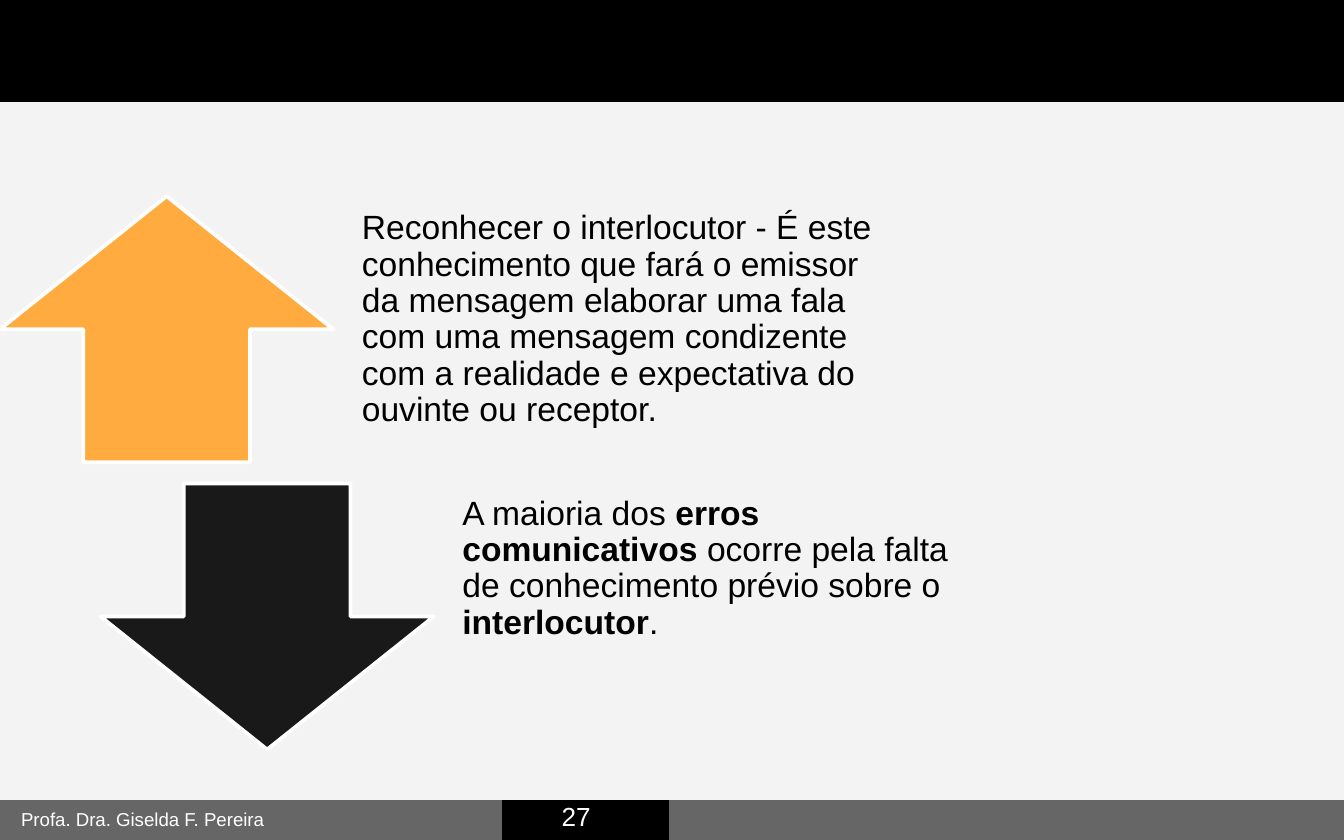
import pptx
import pptx.util
import pptx.dml.color
import pptx.enum.shapes
import pptx.enum.text

Cm, Pt = pptx.util.Cm, pptx.util.Pt
KIND = pptx.enum.shapes.MSO_SHAPE
ALIGN = pptx.enum.text.PP_ALIGN
ANCHOR = pptx.enum.text.MSO_ANCHOR

HUES = {
    "back": "F3F3F3", "black": "000000", "gray": "666666",
    "gold": "FFAB40", "dark": "191919", "white": "FFFFFF",
}


def hue(name):
    return pptx.dml.color.RGBColor.from_string(HUES[name])


def apply(item, values):
    for key, value in values.items():
        setattr(item, key, value)


class Deck:
    face = "Arial"

    def __init__(self, wide, high):
        self.file = pptx.Presentation()
        apply(self.file, {"slide_width": Cm(wide), "slide_height": Cm(high)})
        self.page = self.file.slides.add_slide(self.file.slide_layouts[6])
        fill = self.page.background.fill
        fill.solid()
        fill.fore_color.rgb = hue("back")

    def shape(self, kind, box, fill, line=None, width=0.75):
        form = self.page.shapes.add_shape(kind, *map(Cm, box))
        form.shadow.inherit = False
        form.fill.solid()
        form.fill.fore_color.rgb = hue(fill)
        if line:
            form.line.color.rgb = hue(line)
            form.line.width = Pt(width)
        else:
            form.line.fill.background()

    def text(self, box, runs, size, color, pads=(0.25,) * 4,
             anchor=ANCHOR.MIDDLE, para=None):
        """Runs are (words, bold) pairs; pads go left, top, right, bottom."""
        frame = self.page.shapes.add_textbox(*map(Cm, box)).text_frame
        left, top, right, low = map(Cm, pads)
        apply(frame, {
            "word_wrap": True, "vertical_anchor": anchor,
            "margin_left": left, "margin_top": top,
            "margin_right": right, "margin_bottom": low,
        })
        line = frame.paragraphs[0]
        apply(line, para or {})
        for words, bold in runs:
            run = line.add_run()
            run.text = words
            apply(run.font, {"name": self.face, "size": Pt(size), "bold": bold})
            run.font.color.rgb = hue(color)


def main():
    deck = Deck(25.4, 15.88)

    # Top band and footer bars
    deck.shape(KIND.RECTANGLE, (0, 0, 25.4, 1.93), "black")
    for left, wide, fill in ((0, 25.4, "black"), (0, 9.48, "gray"),
                             (12.65, 12.75, "gray")):
        deck.shape(KIND.RECTANGLE, (left, 15.14, wide, 0.74), fill, fill)

    # Footer name
    deck.text((0.15, 15.06, 7.72, 0.89),
              [("Profa. Dra. Giselda F. Pereira", False)], 10, "white",
              anchor=ANCHOR.TOP)

    # Arrows, each with its text to the right
    first = [("Reconhecer o interlocutor - É este conhecimento que fará o "
              "emissor da mensagem elaborar uma fala com uma mensagem "
              "condizente com a realidade e expectativa do ouvinte ou "
              "receptor.", False)]
    second = [("A maioria dos ", False), ("erros comunicativos ", True),
              ("ocorre pela falta de conhecimento prévio sobre o ", False),
              ("interlocutor", True), (".", False)]
    rows = (
        (KIND.UP_ARROW, "gold", 0, 3.71, first, 0.36),
        (KIND.DOWN_ARROW, "dark", 1.9, 9.14, second, 1.8),
    )
    for kind, fill, left, top, runs, low in rows:
        deck.shape(kind, (left, top, 6.3, 5.03), fill, "white", 2)
        deck.text((left + 6.48, top, 10.67, 5.03), runs, 18, "black",
                  (0.36, 0, 0.36, low), para={"line_spacing": 0.9})

    # Slide number
    deck.text((10.13, 14.99, 1.52, 0.89), [("27", False)], 14, "white",
              para={"alignment": ALIGN.CENTER})

    deck.file.save("out.pptx")


if __name__ == "__main__":
    main()
